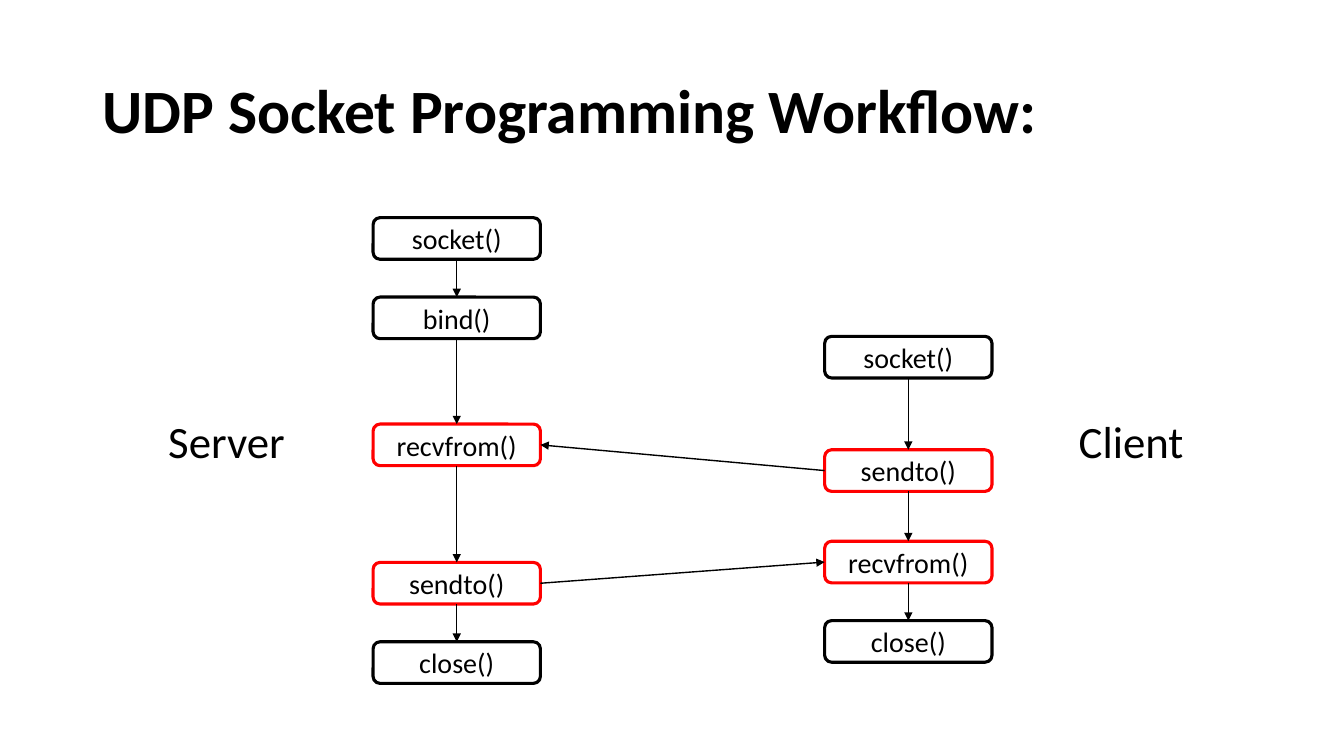
from lxml.etree import SubElement
from pptx import Presentation
from pptx.dml.color import RGBColor
from pptx.enum.shapes import MSO_CONNECTOR as Connector, MSO_SHAPE as Preset
from pptx.enum.text import MSO_ANCHOR as Anchor, PP_ALIGN as Align
from pptx.oxml.ns import qn
from pptx.util import Inches, Pt

BLACK = RGBColor(0x00, 0x00, 0x00)
WHITE = RGBColor(0xFF, 0xFF, 0xFF)
RED = RGBColor(0xFF, 0x00, 0x00)
FONT = "Calibri"

# Content: places are percentages of the slide's width and height
TITLE = ("UDP Socket Programming Workflow:", (6.9, 5.33, 86.25, 19.33))
ROLES = [
    ("Server", (11.78, 54.13, 10.28, 8.53)),
    ("Client", (79.52, 54.13, 9.38, 8.53)),
]
COLUMNS = {"server": 27.76, "client": 61.36}
CALLS = {
    "server": [("socket()", 28.8), ("bind()", 39.3), ("recvfrom()", 56.1),
               ("sendto()", 74.4), ("close()", 84.9)],
    "client": [("socket()", 44.5), ("sendto()", 59.5),
               ("recvfrom()", 71.6), ("close()", 82.1)],
}
CALL_SIZE = (12.45, 5.5)
EXCHANGE = {"sendto()", "recvfrom()"}
MESSAGES = [("client", "server"), ("server", "client")]
TOP, LEFT, BOTTOM, RIGHT = range(4)  # connection sites of a rounded box

deck = Presentation()
deck.slide_width, deck.slide_height = Inches(13.33), Inches(7.5)
slide = deck.slides.add_slide(deck.slide_layouts[6])


def place(area):
    spans = (deck.slide_width, deck.slide_height) * 2
    return [round(span * share / 100) for span, share in zip(spans, area)]


def write(shape, text, size, bold=False, align=Align.LEFT,
          anchor=Anchor.TOP, wrap=True, spacing=1.0):
    frame = shape.text_frame
    frame.word_wrap = wrap
    frame.vertical_anchor = anchor
    paragraph = frame.paragraphs[0]
    paragraph.alignment = align
    paragraph.line_spacing = spacing
    run = paragraph.add_run()
    run.text = text
    run.font.name, run.font.size = FONT, Pt(size)
    run.font.bold, run.font.color.rgb = bold, BLACK


def add_call(name, area):
    box = slide.shapes.add_shape(Preset.ROUNDED_RECTANGLE, *place(area))
    box.shadow.inherit = False
    box.fill.solid()
    box.fill.fore_color.rgb = WHITE
    box.line.color.rgb = RED if name in EXCHANGE else BLACK
    box.line.width = Pt(2.25)
    write(box, name, 20, align=Align.CENTER, anchor=Anchor.MIDDLE)
    return box


def add_arrow(source, source_site, target, target_site):
    arrow = slide.shapes.add_connector(Connector.STRAIGHT, 0, 0, 0, 0)
    arrow.begin_connect(source, source_site)
    arrow.end_connect(target, target_site)
    arrow.line.color.rgb = BLACK
    arrow.line.width = Pt(1)
    SubElement(arrow.line._get_or_add_ln(), qn("a:tailEnd"), type="triangle")
    SubElement(arrow._element.spPr, qn("a:effectLst"))


# Title and role labels
heading, heading_area = TITLE
write(slide.shapes.add_textbox(*place(heading_area)), heading, 44,
      bold=True, anchor=Anchor.MIDDLE, spacing=0.9)
for role, role_area in ROLES:
    write(slide.shapes.add_textbox(*place(role_area)), role, 32, wrap=False)

# Call boxes, each linked to the next one in its column
boxes = {}
for side, calls in CALLS.items():
    boxes[side] = {name: add_call(name, (COLUMNS[side], top, *CALL_SIZE))
                   for name, top in calls}
    chain = list(boxes[side].values())
    for upper, lower in zip(chain, chain[1:]):
        add_arrow(upper, BOTTOM, lower, TOP)

# Messages between the two sides
for sender, receiver in MESSAGES:
    sites = (RIGHT, LEFT) if sender == "server" else (LEFT, RIGHT)
    add_arrow(boxes[sender]["sendto()"], sites[0],
              boxes[receiver]["recvfrom()"], sites[1])

deck.save("out.pptx")
